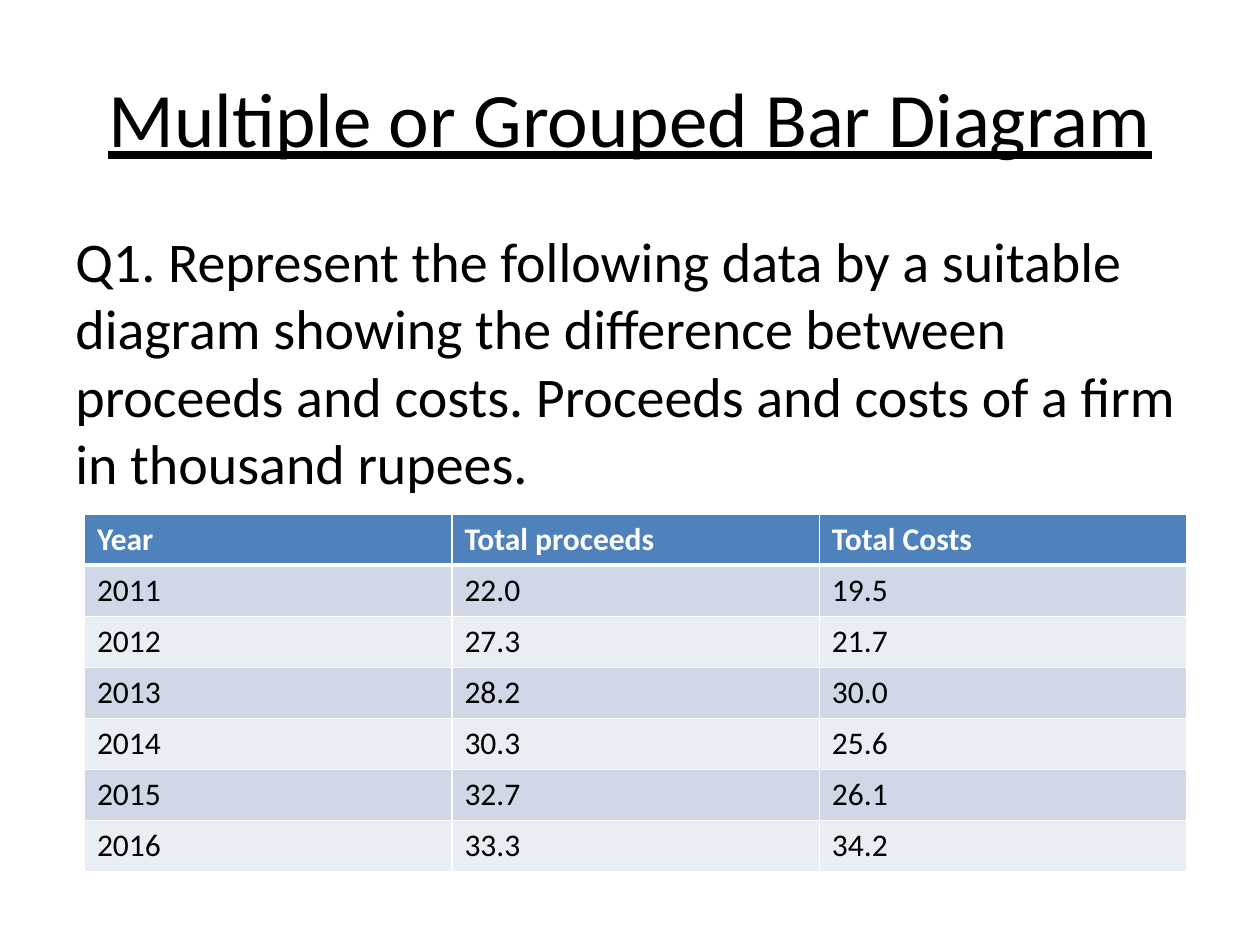
from lxml import etree
from pptx import Presentation
from pptx import util as u
from pptx.dml import color
from pptx.enum import text
from pptx.oxml import ns

FONT = "Calibri"
BLACK, WHITE = "000000", "FFFFFF"
HEADER_FILL = "4F81BD"
BAND_FILLS = ("D0D8E8", "E9EDF4")
QUESTION = (
    "Q1. Represent the following data by a suitable diagram showing the "
    "difference between proceeds and costs. Proceeds and costs of a firm "
    "in thousand rupees."
)
ROWS = [
    ("Year", "Total proceeds", "Total Costs"),
    ("2011", "22.0", "19.5"),
    ("2012", "27.3", "21.7"),
    ("2013", "28.2", "30.0"),
    ("2014", "30.3", "25.6"),
    ("2015", "32.7", "26.1"),
    ("2016", "33.3", "34.2"),
]


def set_color(target, value):
    target.rgb = color.RGBColor.from_string(value)


def style_text(frame, size, value, bold=False, underline=False):
    for para in frame.paragraphs:
        for span in para.runs:
            span.font.name = FONT
            span.font.size = u.Pt(size)
            span.font.bold = bold
            span.font.underline = underline
            set_color(span.font.color, value)


def add_text(page, content, area, size, underline=False,
             align=text.PP_ALIGN.LEFT, anchor=text.MSO_ANCHOR.TOP):
    box = page.shapes.add_textbox(*map(u.Inches, area))
    frame = box.text_frame
    frame.word_wrap = True
    frame.vertical_anchor = anchor
    frame.text = content
    frame.paragraphs[0].alignment = align
    style_text(frame, size, BLACK, underline=underline)


def set_borders(cell, widths):
    properties = cell._tc.get_or_add_tcPr()
    for side, width in zip("LRTB", widths):
        line = etree.SubElement(properties, ns.qn(f"a:ln{side}"), w=str(u.Pt(width)))
        fill = etree.SubElement(line, ns.qn("a:solidFill"))
        etree.SubElement(fill, ns.qn("a:srgbClr"), val=WHITE)


def add_data_table(page, rows, area):
    frame = page.shapes.add_table(len(rows), len(rows[0]), *map(u.Inches, area))
    for row_index, row in enumerate(rows):
        header = row_index == 0
        fill = HEADER_FILL if header else BAND_FILLS[(row_index - 1) % 2]
        top = 3 if row_index == 1 else 1
        bottom = 3 if header else 1
        for column_index, content in enumerate(row):
            cell = frame.table.cell(row_index, column_index)
            set_borders(cell, (1, 1, top, bottom))
            cell.fill.solid()
            set_color(cell.fill.fore_color, fill)
            cell.text_frame.text = content
            style_text(cell.text_frame, 18, WHITE if header else BLACK, bold=header)


def main():
    deck = Presentation()
    deck.slide_width, deck.slide_height = u.Inches(10), u.Inches(7.5)
    page = deck.slides.add_slide(deck.slide_layouts[6])
    add_text(page, "Multiple or Grouped Bar Diagram", (0.5, 0.3, 9, 1.25), 44,
             underline=True, align=text.PP_ALIGN.CENTER, anchor=text.MSO_ANCHOR.MIDDLE)
    add_text(page, QUESTION, (0.5, 1.75, 9, 4.95), 32)
    add_data_table(page, ROWS, (0.67, 4.08, 8.75, 2.84))
    deck.save("out.pptx")


if __name__ == "__main__":
    main()
